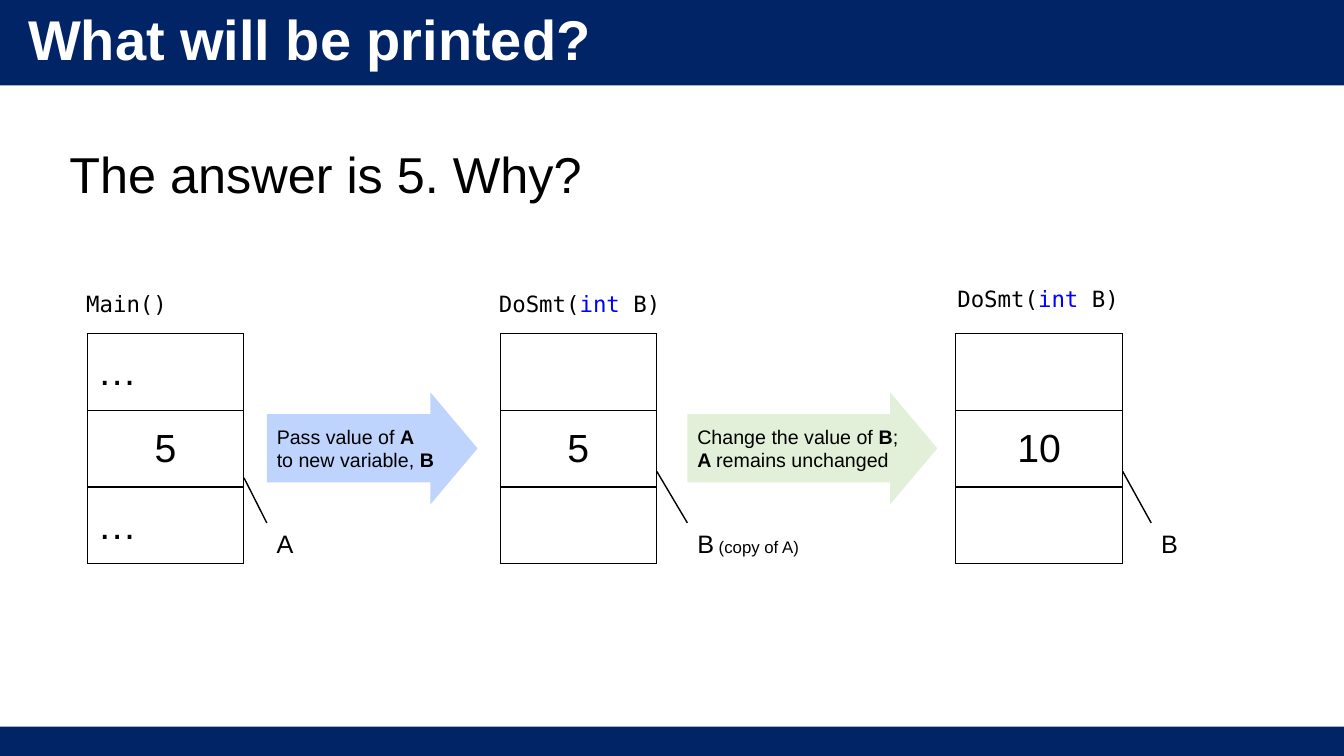
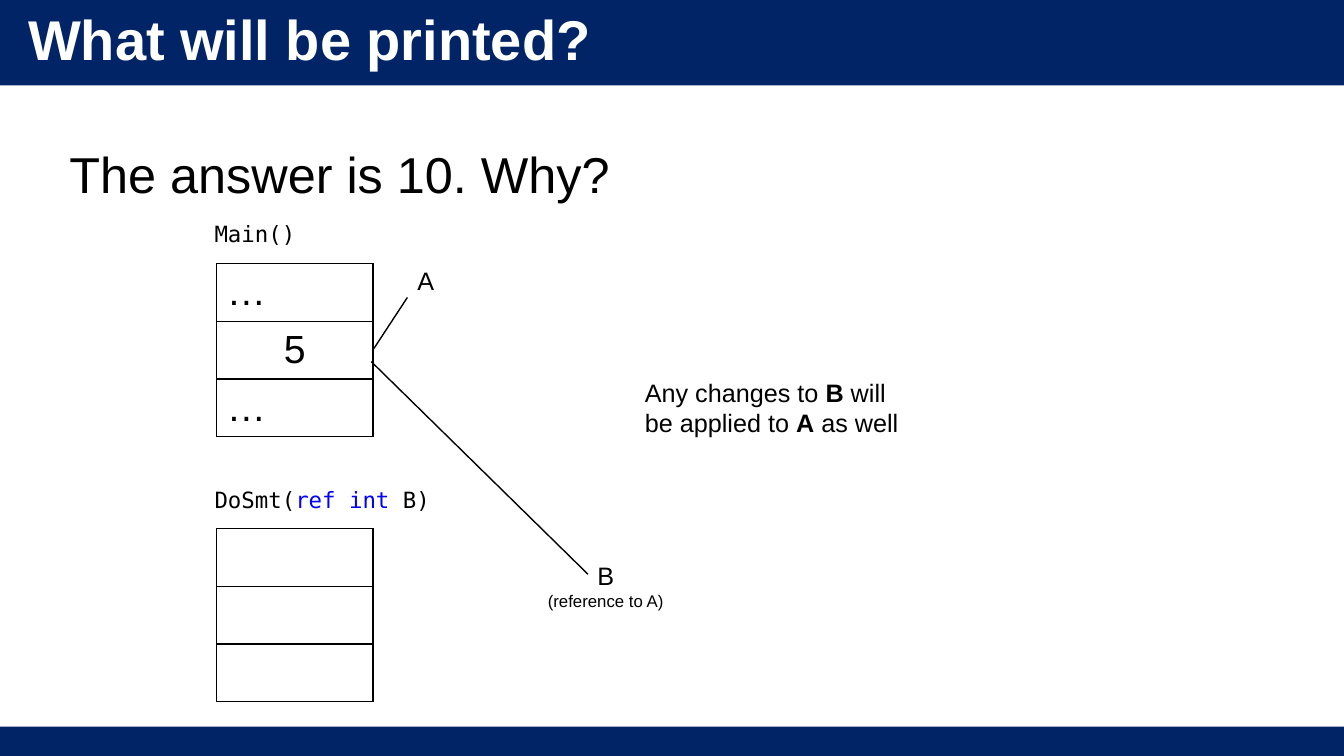
from pptx import Presentation
from pptx.dml.color import RGBColor
from pptx.enum.shapes import MSO_CONNECTOR, MSO_SHAPE as SHAPE
from pptx.enum.text import MSO_ANCHOR as ANCHOR, PP_ALIGN as ALIGN
from pptx.oxml import parse_xml
from pptx.oxml.ns import nsdecls
from pptx.util import Pt

NAVY = RGBColor(0x00, 0x24, 0x66)
WHITE = RGBColor(0xFF, 0xFF, 0xFF)
BLACK = RGBColor(0x00, 0x00, 0x00)
KEYWORD = RGBColor(0x00, 0x00, 0xFF)
PALE_BLUE = RGBColor(0xBF, 0xD4, 0xFC)
PALE_GREEN = RGBColor(0xE2, 0xF0, 0xD9)

SANS, MONO = "Arial", "DejaVu Sans Mono"
WIDTH, HEIGHT = 960, 540
STACK_WIDTH = 111.6
MAIN_CELLS = ("…", "5", "…")


def bold(text):
    return text, {"bold": True}


def small(text):
    return text, {"size": Pt(12)}


def keyword(text):
    return text, {"color": KEYWORD}


def write(frame, lines, size, font=SANS, color=BLACK, strong=False,
          align=ALIGN.LEFT, anchor=ANCHOR.TOP):
    """Fill a frame; a line is a list of strings and (string, changes) pairs."""
    frame.word_wrap = True
    frame.vertical_anchor = anchor
    for number, line in enumerate(lines):
        paragraph = frame.add_paragraph() if number else frame.paragraphs[0]
        paragraph.alignment = align
        for part in line:
            text, changes = (part, {}) if isinstance(part, str) else part
            run = paragraph.add_run()
            run.text = text
            run.font.name = font
            run.font.size = changes.get("size", Pt(size))
            run.font.bold = changes.get("bold", strong)
            run.font.color.rgb = changes.get("color", color)


def add_text(slide, left, top, width, height, lines, size, **style):
    frame = slide.shapes.add_textbox(
        Pt(left), Pt(top), Pt(width), Pt(height)).text_frame
    write(frame, lines, size, **style)
    return frame


def add_filled(slide, kind, left, top, width, height, color):
    shape = slide.shapes.add_shape(
        kind, Pt(left), Pt(top), Pt(width), Pt(height))
    shape.shadow.inherit = False
    shape.fill.solid()
    shape.fill.fore_color.rgb = color
    shape.line.fill.background()
    return shape


def add_base(deck, answer):
    """Start a slide with its bands, title and answer line."""
    slide = deck.slides.add_slide(deck.slide_layouts[6])
    add_filled(slide, SHAPE.RECTANGLE, 0, 0, WIDTH, 61, NAVY)
    add_filled(slide, SHAPE.RECTANGLE, 0, 519, WIDTH, 21, NAVY)
    title = add_text(slide, 13, 10, 660, 41, [["What will be printed?"]], 40,
                     color=WHITE, strong=True, anchor=ANCHOR.MIDDLE)
    title.paragraphs[0].line_spacing = 0.9
    body = add_text(slide, 42.5, 90, 881, 394, [[answer]], 36)
    body.paragraphs[0].line_spacing = 1.2
    return slide


def add_code(slide, left, top, *parts):
    add_text(slide, left, top, 208, 26.6, [parts], 16, font=MONO)


def add_name(slide, left, top, width, *parts):
    add_text(slide, left, top, width, 29, [parts], 18)


def border_cell(cell):
    properties = cell._tc.get_or_add_tcPr()
    for position, side in enumerate(("lnL", "lnR", "lnT", "lnB")):
        properties.insert(position, parse_xml(
            f'<a:{side} {nsdecls("a")} w="{Pt(1)}"><a:solidFill>'
            f'<a:srgbClr val="{BLACK}"/></a:solidFill></a:{side}>'))


def add_stack(slide, left, top, row_height, values, width=STACK_WIDTH):
    """Draw stack memory as a column of cells; numbers are centred."""
    table = slide.shapes.add_table(
        len(values), 1, Pt(left), Pt(top), Pt(width),
        Pt(row_height * len(values))).table
    table.first_row = table.horz_banding = False
    for row, value in zip(table.rows, values):
        row.height = Pt(row_height)
        cell = row.cells[0]
        cell.fill.background()
        border_cell(cell)
        cell.margin_top = cell.margin_bottom = 0
        cell.vertical_anchor = ANCHOR.MIDDLE
        if value:
            align = ALIGN.CENTER if value.isdigit() else ALIGN.LEFT
            write(cell.text_frame, [[value]], 28, align=align,
                  anchor=ANCHOR.MIDDLE)


def add_step(slide, left, width, color, lines):
    arrow = add_filled(slide, SHAPE.RIGHT_ARROW, left, 280.3, width, 80, color)
    arrow.adjustments[0] = 0.61
    arrow.adjustments[1] = 0.42
    write(arrow.text_frame, lines, 14, anchor=ANCHOR.MIDDLE)


def add_pointer(slide, *ends):
    pointer = slide.shapes.add_connector(
        MSO_CONNECTOR.STRAIGHT, *(Pt(end) for end in ends))
    pointer.line.color.rgb = BLACK
    pointer.line.width = Pt(1)
    pointer._element.spPr.append(
        parse_xml(f'<a:effectLst {nsdecls("a")}/>'))


def build_pass_by_value(deck):
    slide = add_base(deck, "The answer is 5. Why?")
    top, row_height, name_top = 238.3, 54.8, 373.5
    signature = ("DoSmt(", keyword("int"), " B)")

    # Stacks and their methods
    add_code(slide, 54.5, 204, "Main()")
    add_stack(slide, 62.5, top, row_height, MAIN_CELLS)
    add_code(slide, 349.3, 204, *signature)
    add_stack(slide, 357.3, top, row_height, ("", "5", ""))
    add_code(slide, 676.8, 200.3, *signature)
    add_stack(slide, 682.5, top, row_height, ("", "10", ""), 119.5)

    # Steps between the stacks
    add_step(slide, 190.6, 150.5, PALE_BLUE, [
        ["Pass value of ", bold("A")],
        ["to new variable, ", bold("B")]])
    add_step(slide, 491, 178.5, PALE_GREEN, [
        ["Change the value of ", bold("B"), ";"],
        [bold("A "), "remains unchanged"]])

    # Variable names
    add_name(slide, 190.6, name_top, 25, "A")
    add_name(slide, 491, name_top, 92, "B", small(" (copy of A)"))
    add_name(slide, 822.3, name_top, 27, "B")
    add_pointer(slide, 174.3, 341.3, 190.6, name_top)
    add_pointer(slide, 469.2, 336.8, 491, name_top)
    add_pointer(slide, 802, 336.8, 822.3, name_top)


def build_pass_by_reference(deck):
    slide = add_base(deck, "The answer is 10. Why?")
    code_left, stack_left, row_height = 146.2, 154.8, 41.25

    # Stacks and their methods
    add_code(slide, code_left, 154, "Main()")
    add_stack(slide, stack_left, 188.2, row_height, MAIN_CELLS)
    add_code(slide, code_left, 343.5, "DoSmt(", keyword("ref int"), " B)")
    add_stack(slide, stack_left, 377.5, row_height, ("", "", ""))

    # Both names lead to one cell
    add_name(slide, 291, 186, 25, "A")
    add_text(slide, 382.3, 396.8, 100.8, 44,
             [["B"], [small("(reference to A)")]], 18, align=ALIGN.CENTER)
    add_pointer(slide, 291, 212.5, 266.4, 250)
    add_pointer(slide, 420, 410.2, 265.2, 258.3)

    # Conclusion
    add_text(slide, 453.5, 265.7, 201, 51,
             [["Any changes to ", bold("B"), " will be applied to ",
               bold("A"), " as well"]], 18)


def main():
    deck = Presentation()
    deck.slide_width, deck.slide_height = Pt(WIDTH), Pt(HEIGHT)
    build_pass_by_value(deck)
    build_pass_by_reference(deck)
    deck.save("out.pptx")


main()
